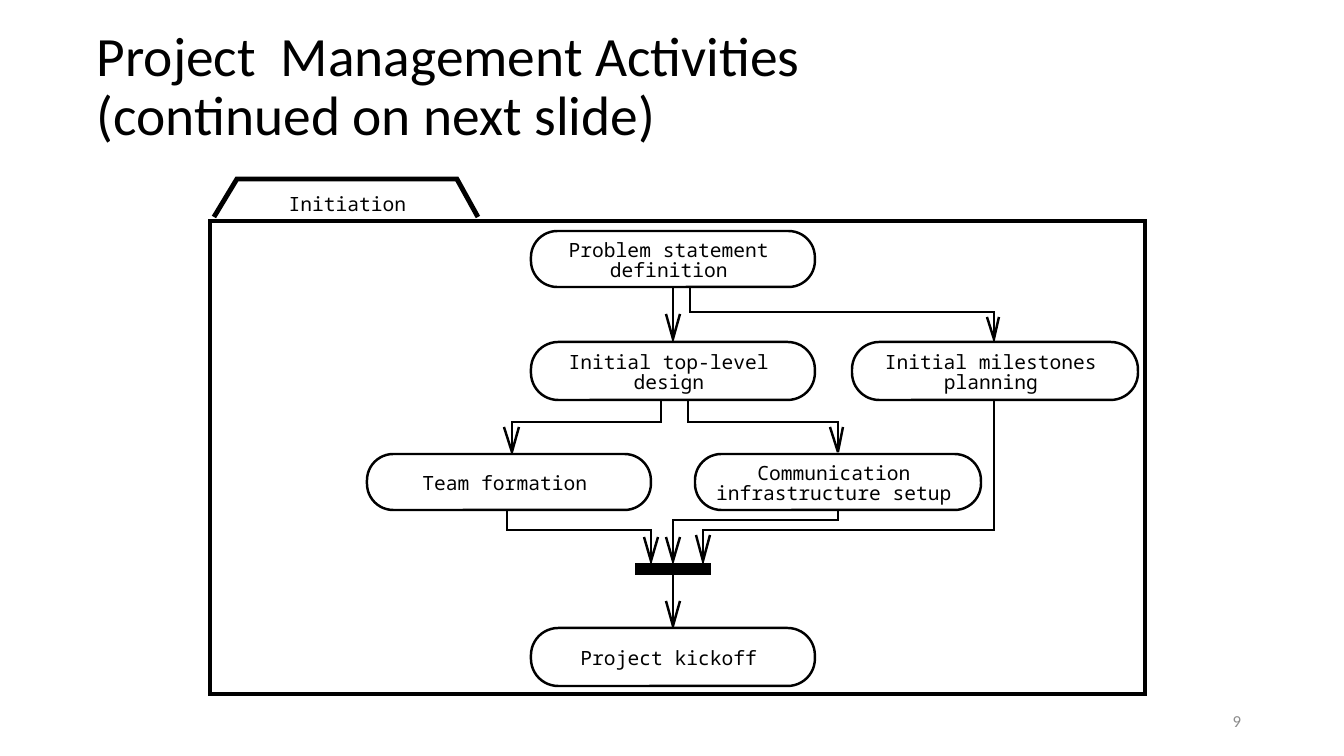
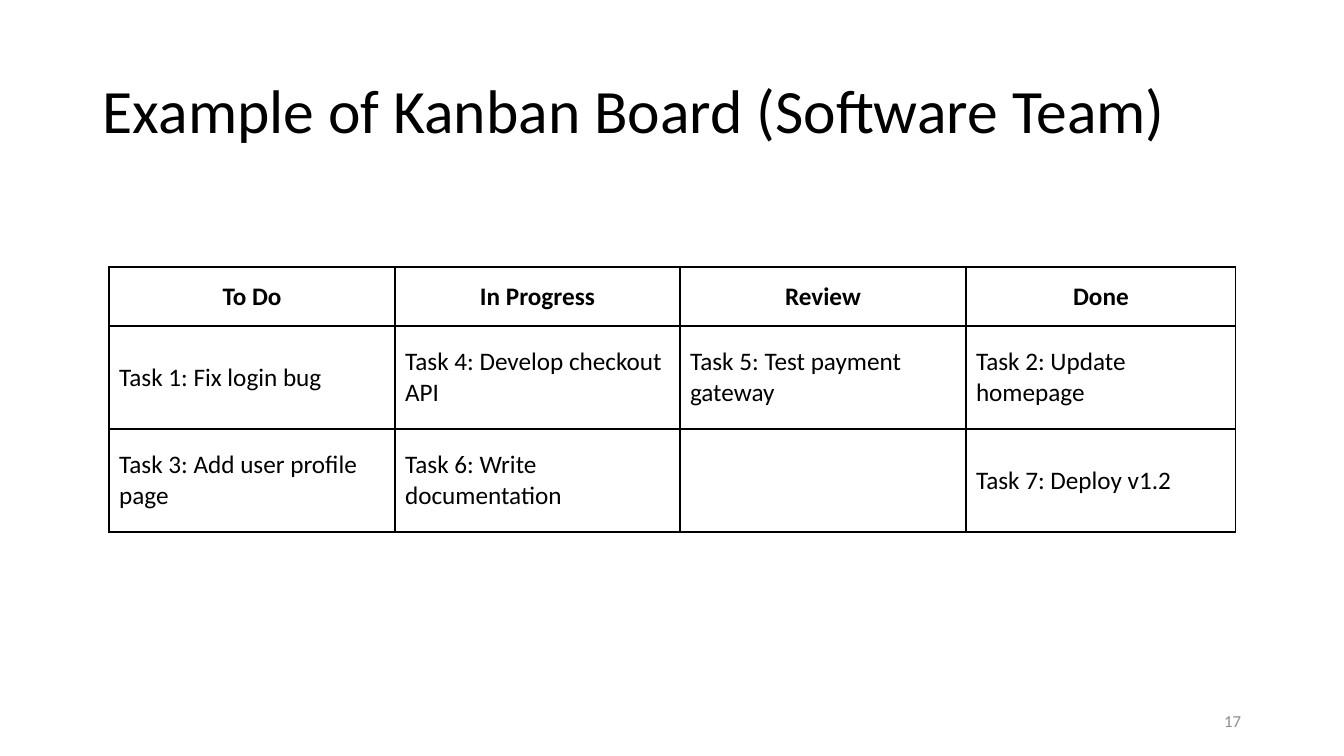
"""Build two project management slides: an initiation workflow and a Kanban board."""
import dataclasses

import lxml.etree
import pptx
import pptx.dml.color
import pptx.enum.shapes
import pptx.enum.text
import pptx.oxml.ns
import pptx.util


@dataclasses.dataclass(frozen=True)
class Theme:
    ink: str = "000000"
    paper: str = "FFFFFF"
    muted: str = "8C8C8C"
    body_font: str = "Calibri"
    diagram_font: str = "Noto Sans Mono"
    table_size: float = 18
    page_size: float = 12
    diagram_size: float = 14
    thin: float = 1.75
    thick: float = 3.5
    grid: float = 1


theme = Theme()
PX = 12192000 / 1344
Align = pptx.enum.text.PP_ALIGN
Anchor = pptx.enum.text.MSO_ANCHOR
Preset = pptx.enum.shapes.MSO_SHAPE
STRAIGHT = pptx.enum.shapes.MSO_CONNECTOR.STRAIGHT
qn = pptx.oxml.ns.qn
rgb = pptx.dml.color.RGBColor.from_string


def px(*lengths):
    return [round(length * PX) for length in lengths]


def write(paragraph, lines, size, font=theme.body_font, color=theme.ink, bold=False):
    for number, line in enumerate(lines):
        if number:
            paragraph.add_line_break()
        run = paragraph.add_run()
        run.text = line
        run.font.size = pptx.util.Pt(size)
        run.font.name = font
        run.font.bold = bold
        run.font.color.rgb = rgb(color)


deck = pptx.Presentation()
deck.slide_width, deck.slide_height = px(1344, 756)

slides = []
for heading, heading_box, heading_size, page in [
    (["Project  Management Activities", "(continued on next slide)"], (87, 49, 1097, 78), 39.6, "9"),
    (["Example of Kanban Board (Software Team)"], (93, 41, 1159, 146), 44, "17"),
]:
    slide = deck.slides.add_slide(deck.slide_layouts[6])
    slides.append(slide)
    for lines, box, size, color, align, spacing in [
        (heading, heading_box, heading_size, theme.ink, Align.LEFT, 0.9),
        ([page], (949, 701, 302, 40), theme.page_size, theme.muted, Align.RIGHT, 1.0),
    ]:
        frame = slide.shapes.add_textbox(*px(*box)).text_frame
        frame.word_wrap = True
        frame.vertical_anchor = Anchor.MIDDLE
        frame.paragraphs[0].alignment = align
        frame.paragraphs[0].line_spacing = spacing
        write(frame.paragraphs[0], lines, size, color=color)

workflow, kanban = slides
shapes = workflow.shapes

package_frame = shapes.add_shape(Preset.RECTANGLE, *px(210, 221, 935, 473))
package_tab = shapes.build_freeform(214, 217, scale=PX)
package_tab.add_line_segments([(237, 179), (457, 179), (478, 217)], close=False)
package_tab = package_tab.convert_to_shape()
sync_bar = shapes.add_shape(Preset.RECTANGLE, *px(636, 564, 74, 10))
outlined = [
    (package_frame, None, theme.thick),
    (package_tab, None, theme.thick),
    (sync_bar, theme.ink, theme.thin),
]

stems = []
for start_x, start_y, bend_y, end_x, neck_y, end_y, head_left, head_right in [
    (673, 287, 300, 673, 314, 339, 7, 7),
    (690, 285, 312, 994, 317, 339, 7, 5),
    (661, 398, 422, 512, 427, 452, 8, 7),
    (688, 398, 422, 838, 427, 452, 8, 5),
    (507, 508, 530, 651, 537, 561, 7, 7),
    (838, 508, 520, 673, 537, 561, 7, 7),
    (994, 398, 530, 703, 535, 561, 7, 7),
    (673, 571, 586, 673, 601, 626, 7, 7),
]:
    stem_top = neck_y
    bent_paths = [[(end_x + head_right, neck_y), (end_x, end_y), (end_x - head_left, neck_y)]]
    if start_x == end_x:
        stems.append(shapes.add_connector(STRAIGHT, *px(start_x, start_y, end_x, neck_y)))
    else:
        bent_paths.append([(start_x, start_y), (start_x, bend_y), (end_x, bend_y), (end_x, neck_y)])
    stems.append(shapes.add_connector(STRAIGHT, *px(end_x, neck_y, end_x, end_y)))
    for first, *others in bent_paths:
        outline = shapes.build_freeform(*first, scale=PX)
        outline.add_line_segments(others, close=False)
        outlined.append((outline.convert_to_shape(), None, theme.thin))

for stem in stems:
    stem.line.color.rgb = rgb(theme.ink)
    stem.line.width = pptx.util.Pt(theme.thin)
    lxml.etree.SubElement(stem.element.spPr, qn("a:effectLst"))

for left, top, width, height, lines in [
    (531, 231, 284, 56, ["Problem statement", "definition"]),
    (531, 342, 284, 58, ["Initial top-level", "design"]),
    (852, 342, 286, 58, ["Initial milestones", "planning"]),
    (367, 454, 284, 56, ["Team formation"]),
    (695, 454, 286, 56, ["Communication", "infrastructure setup"]),
    (531, 628, 284, 58, ["Project kickoff"]),
]:
    activity = shapes.add_shape(Preset.ROUNDED_RECTANGLE, *px(left, top, width, height))
    activity.adjustments[0] = 0.47
    frame = activity.text_frame
    frame.margin_left, frame.margin_top, frame.margin_right, frame.margin_bottom = px(0, 5, 8, 0)
    frame.vertical_anchor = Anchor.MIDDLE
    frame.paragraphs[0].alignment = Align.CENTER
    frame.paragraphs[0].line_spacing = pptx.util.Pt(theme.diagram_size)
    write(frame.paragraphs[0], lines, theme.diagram_size, theme.diagram_font)
    outlined.append((activity, theme.paper, theme.thin))

for part, fill, weight in outlined:
    if fill:
        part.fill.solid()
        part.fill.fore_color.rgb = rgb(fill)
    else:
        part.fill.background()
    part.line.color.rgb = rgb(theme.ink)
    part.line.width = pptx.util.Pt(weight)
    part.shadow.inherit = False
    lxml.etree.SubElement(part.element.spPr.find(qn("a:ln")), qn("a:miter"), lim="800000")

tab_label = shapes.add_textbox(*px(288, 192, 119, 27)).text_frame
tab_label.margin_left = tab_label.margin_top = tab_label.margin_right = tab_label.margin_bottom = 0
tab_label.word_wrap = False
tab_label.paragraphs[0].alignment = Align.CENTER
write(tab_label.paragraphs[0], ["Initiation"], theme.diagram_size, theme.diagram_font)

tasks = [
    ["To Do", "In Progress", "Review", "Done"],
    ["Task 1: Fix login bug", "Task 4: Develop checkout API", "Task 5: Test payment gateway", "Task 2: Update homepage"],
    ["Task 3: Add user profile page", "Task 6: Write documentation", "", "Task 7: Deploy v1.2"],
]
column_widths = px(286, 285, 286, 270)
row_heights = px(59, 103, 103)
board = kanban.shapes.add_table(
    len(tasks), len(column_widths), *px(109, 267), sum(column_widths), sum(row_heights)
).table
board.first_row = board.horz_banding = False
for column, width in zip(board.columns, column_widths):
    column.width = width
for row, height in zip(board.rows, row_heights):
    row.height = height

for row_number, row_tasks in enumerate(tasks):
    is_header = row_number == 0
    for column_number, task in enumerate(row_tasks):
        cell = board.cell(row_number, column_number)
        cell.fill.background()
        cell.vertical_anchor = Anchor.MIDDLE
        paragraph = cell.text_frame.paragraphs[0]
        paragraph.alignment = Align.CENTER if is_header else Align.LEFT
        if task:
            write(paragraph, [task], theme.table_size, bold=is_header)
        cell_properties = cell._tc.get_or_add_tcPr()
        for position, side in enumerate(["a:lnL", "a:lnR", "a:lnT", "a:lnB"]):
            border = lxml.etree.Element(qn(side), w=str(pptx.util.Pt(theme.grid)))
            border_fill = lxml.etree.SubElement(border, qn("a:solidFill"))
            lxml.etree.SubElement(border_fill, qn("a:srgbClr"), val=theme.ink)
            cell_properties.insert(position, border)

deck.save("out.pptx")
